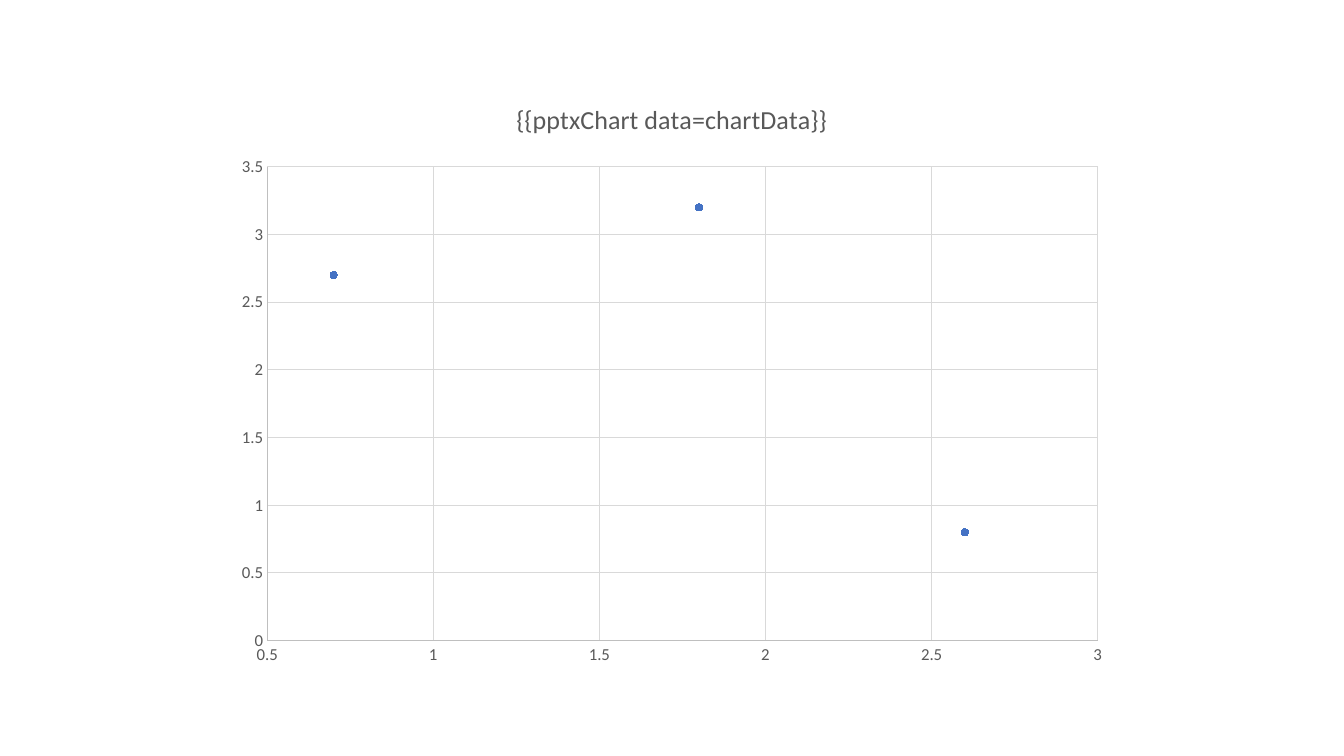
import pptx
import pptx.chart.data
import pptx.dml.color
import pptx.enum.chart
import pptx.util

THEME = {
    "font": "Calibri",
    "text": pptx.dml.color.RGBColor.from_string("595959"),
    "axis": pptx.dml.color.RGBColor.from_string("BFBFBF"),
    "grid": pptx.dml.color.RGBColor.from_string("D9D9D9"),
    "point": pptx.dml.color.RGBColor.from_string("4472C4"),
    "title_size": pptx.util.Pt(18.6),
    "label_size": pptx.util.Pt(12),
    "line_width": pptx.util.Pt(0.75),
}


def style_font(font, size):
    font.name = THEME["font"]
    font.size = size
    font.bold = False
    font.color.rgb = THEME["text"]


# Slide
deck = pptx.Presentation()
deck.slide_width = pptx.util.Inches(13.33)
deck.slide_height = pptx.util.Inches(7.5)
slide = deck.slides.add_slide(deck.slide_layouts[6])

# Scatter data
points = pptx.chart.data.XyChartData()
series_data = points.add_series("Series 1")
for x, y in [(0.7, 2.7), (1.8, 3.2), (2.6, 0.8)]:
    series_data.add_data_point(x, y)

# Chart: two thirds of the slide's width, centred
chart_width = int(deck.slide_width * 2 / 3)
chart_height = int(deck.slide_height * 0.79)
scatter = slide.shapes.add_chart(
    pptx.enum.chart.XL_CHART_TYPE.XY_SCATTER,
    (deck.slide_width - chart_width) // 2,
    (deck.slide_height - chart_height) // 2,
    chart_width,
    chart_height,
    points,
).chart
scatter.has_legend = False
style_font(scatter.font, THEME["label_size"])
scatter.plots[0].vary_by_categories = False

# Title
scatter.has_title = True
title = scatter.chart_title.text_frame.paragraphs[0]
title.text = "{{pptxChart data=chartData}}"
style_font(title.font, THEME["title_size"])
scatter.chart_title.include_in_layout = False

# Axes and gridlines
for axis, low, high in [(scatter.category_axis, 0.5, 3), (scatter.value_axis, 0, 3.5)]:
    axis.minimum_scale = low
    axis.maximum_scale = high
    axis.major_unit = 0.5
    axis.major_tick_mark = pptx.enum.chart.XL_TICK_MARK.NONE
    axis.minor_tick_mark = pptx.enum.chart.XL_TICK_MARK.NONE
    axis.tick_labels.number_format = "General"
    axis.tick_labels.number_format_is_linked = False
    style_font(axis.tick_labels.font, THEME["label_size"])
    axis.has_major_gridlines = True
    for line, colour in [
        (axis.format.line, THEME["axis"]),
        (axis.major_gridlines.format.line, THEME["grid"]),
    ]:
        line.color.rgb = colour
        line.width = THEME["line_width"]

# Points without a joining line
series = scatter.plots[0].series[0]
series.smooth = False
series.format.line.fill.background()
series.marker.style = pptx.enum.chart.XL_MARKER_STYLE.CIRCLE
series.marker.size = 5
series.marker.format.fill.solid()
series.marker.format.fill.fore_color.rgb = THEME["point"]
series.marker.format.line.color.rgb = THEME["point"]

deck.save("out.pptx")
